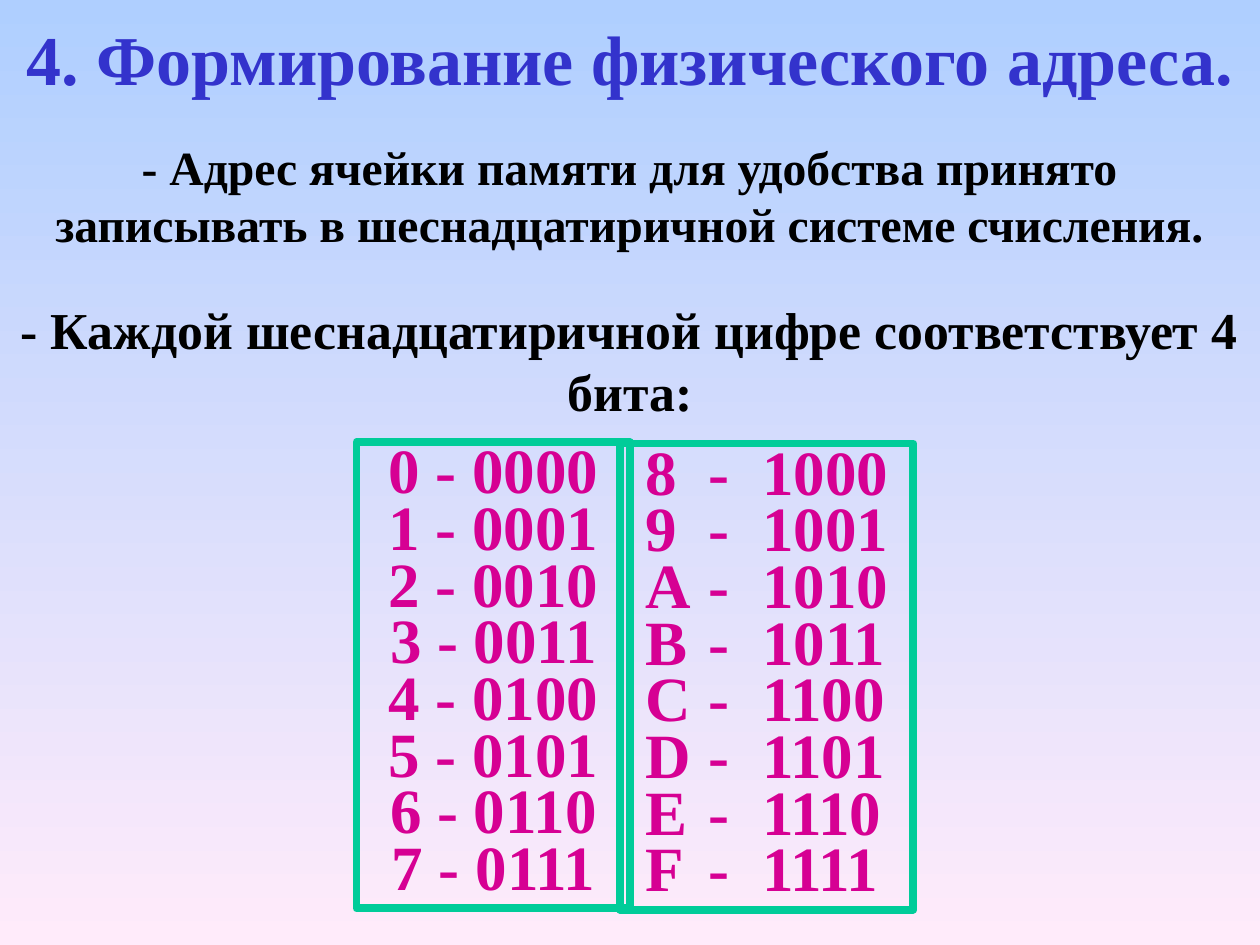
from pptx import Presentation
from pptx.dml.color import RGBColor
from pptx.enum.shapes import MSO_SHAPE as Shape
from pptx.enum.text import MSO_ANCHOR as Anchor, MSO_AUTO_SIZE as AutoSize, PP_ALIGN as Align
from pptx.oxml.ns import qn
from pptx.util import Inches, Pt
from lxml.etree import SubElement

SKY = RGBColor(0xAF, 0xCF, 0xFF)
ROSE = RGBColor(0xFF, 0xEB, 0xFA)
BLUE = RGBColor(0x33, 0x33, 0xCC)
BLACK = RGBColor(0, 0, 0)
GREEN = RGBColor(0x00, 0xCC, 0x99)
MAGENTA = RGBColor(0xD6, 0x00, 0x93)
FONT = "Times New Roman"
WIDTH, HEIGHT = Inches(10), Inches(7.5)


def add_tabs(para, stops):
    tab_list = SubElement(para._p.get_or_add_pPr(), qn("a:tabLst"))
    for stop in stops:
        SubElement(tab_list, qn("a:tab"), pos=str(Inches(stop)), algn="l")


def write_text(shape, lines, *, size, color, align=Align.CENTER,
               anchor=Anchor.MIDDLE, spacing=None, tabs=(), left_inset=0.1):
    frame = shape.text_frame
    frame.word_wrap = True
    frame.auto_size = AutoSize.NONE
    frame.vertical_anchor = anchor
    frame.margin_left, frame.margin_right = Inches(left_inset), Inches(0.1)
    frame.margin_top = frame.margin_bottom = Inches(0.05)
    for index, line in enumerate(lines):
        para = frame.add_paragraph() if index else frame.paragraphs[0]
        para.alignment = align
        para.space_before = Pt(0)
        if spacing:
            para.line_spacing = spacing
        if tabs:
            add_tabs(para, tabs)
        span = para.add_run()
        span.text = line
        span.font.name, span.font.size = FONT, Pt(size)
        span.font.bold, span.font.color.rgb = True, color


def paint_background(page):
    fill = page.background.fill
    fill.gradient()
    fill.gradient_angle = 270
    for stop, color, position in zip(fill.gradient_stops, (SKY, ROSE), (0, 1)):
        stop.color.rgb, stop.position = color, position


def place_title(page, box, text):
    title = page.shapes.title
    title.left, title.top, title.width, title.height = box
    write_text(title, [text], size=40, color=BLUE)


def add_statement(page, box, text, size):
    write_text(page.shapes.add_textbox(*box), [text], size=size, color=BLACK)


def add_code_column(page, box, lines, **layout):
    frame = page.shapes.add_shape(Shape.RECTANGLE, *box)
    frame.shadow.inherit = False
    frame.fill.background()
    frame.line.color.rgb, frame.line.width = GREEN, Pt(4.5)
    write_text(frame, lines, size=36, color=MAGENTA, anchor=Anchor.TOP,
               spacing=0.75, **layout)


def share(left, top, width, height):
    """Turn percentages of the slide into a box."""
    return (int(WIDTH * left / 100), int(HEIGHT * top / 100),
            int(WIDTH * width / 100), int(HEIGHT * height / 100))


def main():
    deck = Presentation()
    deck.slide_width, deck.slide_height = WIDTH, HEIGHT
    page = deck.slides.add_slide(deck.slide_layouts[5])
    paint_background(page)

    # Heading and the two statements
    place_title(page, share(0, 1.07, 100, 10), "4. Формирование физического адреса.")
    add_statement(page, share(0, 10.13, 100, 21.07),
                  "- Адрес ячейки памяти для удобства принято записывать "
                  "в шеснадцатиричной системе счисления.", 27.2)
    add_statement(page, share(0, 30.27, 100, 15.6),
                  "- Каждой шеснадцатиричной цифре соответствует 4 бита:", 29.6)

    # Hexadecimal digits with their four bits
    add_code_column(page, share(28.3, 46.8, 21.7, 49.33),
                    [f"{digit:X} - {digit:04b}" for digit in range(8)])
    add_code_column(page, share(49.2, 46.93, 23.3, 49.33),
                    [f"{digit:X}\t-\t{digit:04b}" for digit in range(8, 16)],
                    align=Align.LEFT, tabs=(0.5, 0.93), left_inset=0.2)

    deck.save("out.pptx")


if __name__ == "__main__":
    main()
